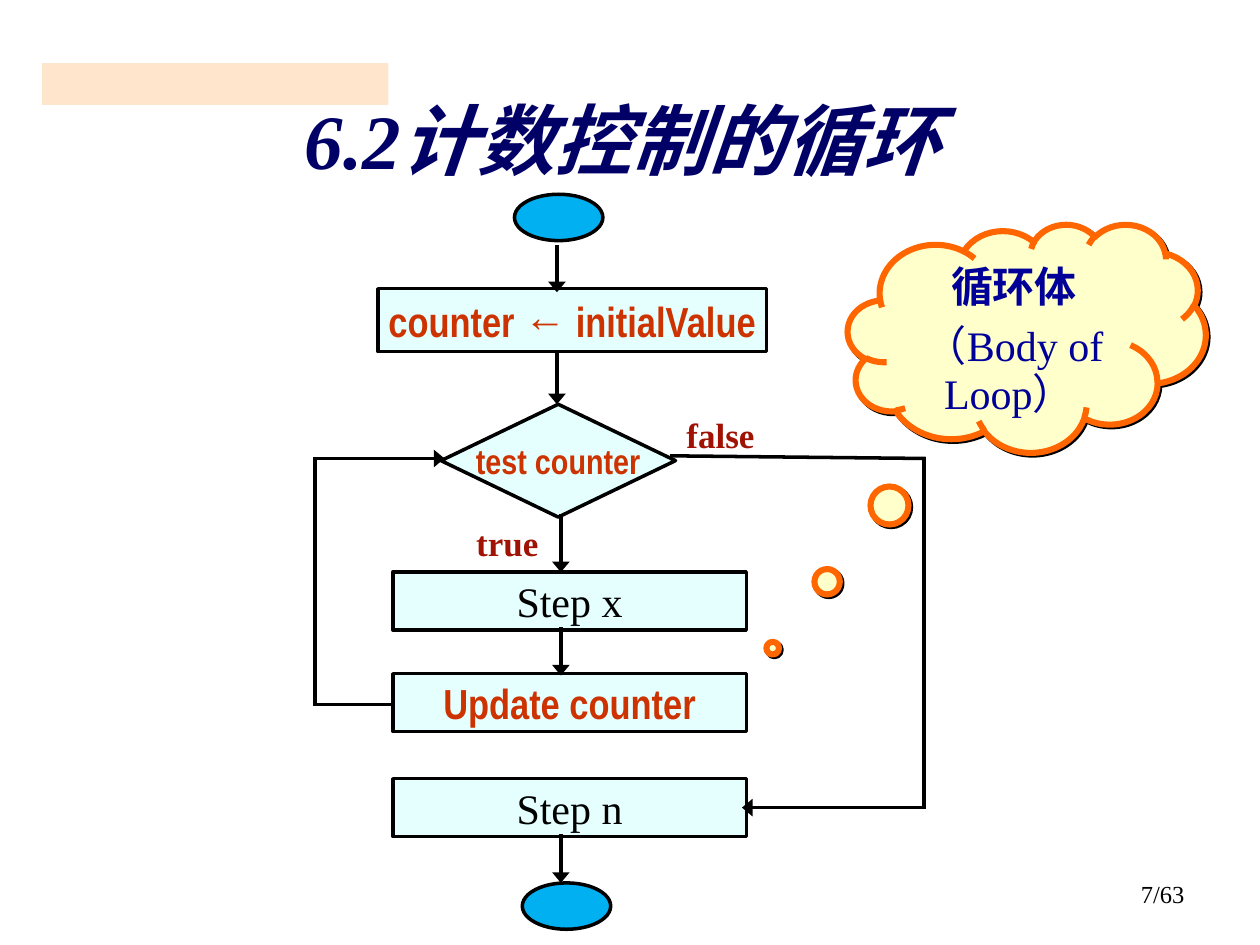
from dataclasses import dataclass
from itertools import pairwise

from lxml import etree
from pptx import Presentation
from pptx import util as u
from pptx.dml.color import RGBColor
from pptx.enum import shapes, text
from pptx.oxml import ns

COLORS = {
    "black": "000000",
    "title": "000066",
    "accent": "CC3300",
    "branch": "A01304",
    "cloud_text": "000099",
    "step": "E5FFFF",
    "terminal": "00B0F0",
    "cloud": "FFFFCC",
    "cloud_edge": "FF6600",
    "bar": "FFCC99",
}
SERIF = "Times New Roman"
NARROW = "Arial Narrow"
LEFT, CENTER, RIGHT = text.PP_ALIGN.LEFT, text.PP_ALIGN.CENTER, text.PP_ALIGN.RIGHT
TOP, MIDDLE = text.MSO_ANCHOR.TOP, text.MSO_ANCHOR.MIDDLE
FIXED, GROW = text.MSO_AUTO_SIZE.NONE, text.MSO_AUTO_SIZE.SHAPE_TO_FIT_TEXT
KIND = shapes.MSO_SHAPE

Box = tuple[float, float, float, float]
Point = tuple[float, float]


@dataclass(frozen=True)
class Style:
    size: float
    color: str
    font: str = SERIF
    bold: bool = False
    italic: bool = False


PLAIN = Style(24, "black")
KEY = Style(24, "accent", NARROW, True)
TEST = Style(20, "accent", NARROW, True)
BRANCH = Style(20, "branch", bold=True)
HEADING = Style(44, "title", bold=True, italic=True)
PAGE = Style(14, "black")
CLOUD_HEAD = Style(24, "cloud_text", bold=True)
CLOUD_BODY = Style(24, "cloud_text")


@dataclass(frozen=True)
class Node:
    kind: int
    box: Box
    fill: str
    label: str = ""
    style: Style = PLAIN


@dataclass(frozen=True)
class Label:
    words: str
    box: Box
    style: Style
    align: int = LEFT
    anchor: int = TOP
    wrap: bool = False
    spacing: float = 1.0


@dataclass(frozen=True)
class Route:
    points: tuple[Point, ...]
    arrow: bool = True


STEP_LEFT, STEP_WIDTH, STEP_HEIGHT = 224.5, 202, 33
TERMINAL_WIDTH, TERMINAL_HEIGHT = 50.5, 26.5
ENTRY_X, BODY_X, LOOP_X, EXIT_X, TEST_Y = 318.25, 320.5, 180, 528, 262


def step(top: float, label: str, style: Style) -> Node:
    return Node(KIND.RECTANGLE, (STEP_LEFT, top, STEP_WIDTH, STEP_HEIGHT), "step", label, style)


def terminal(left: float, top: float) -> Node:
    return Node(KIND.OVAL, (left, top, TERMINAL_WIDTH, TERMINAL_HEIGHT), "terminal")


def down(x: float, start: float, end: float) -> Route:
    return Route(((x, start), (x, end)))


NODES = [
    terminal(294, 111),
    Node(KIND.RECTANGLE, (216, 165, 222, 36), "step", "counter ← initialValue", KEY),
    Node(KIND.DIAMOND, (252, 231, 134, 64.5), "step", "test counter", TEST),
    step(327, "Step x", PLAIN),
    step(385, "Update counter", KEY),
    step(445, "Step n", PLAIN),
    terminal(298.5, 504.5),
]
ROUTES = [
    down(ENTRY_X, 141, 167),
    down(ENTRY_X, 201, 231),
    down(BODY_X, 294.5, 327),
    down(BODY_X, 359.5, 386),
    down(BODY_X, 477.5, 504.5),
    Route(((384, 260.5), (EXIT_X, TEST_Y)), False),
    Route(((EXIT_X, TEST_Y), (EXIT_X, 461.5), (424, 461.5))),
    Route(((STEP_LEFT, 402.5), (LOOP_X, 402.5), (LOOP_X, TEST_Y), (254, TEST_Y))),
]
LABELS = [
    Label("7/63", (516, 499, 168, 37.5), PAGE, RIGHT, wrap=True),
    Label("6.2计数控制的循环", (45.5, 50, 620.5, 67), HEADING, CENTER, MIDDLE, True, 0.85),
    Label("false", (385.2, 232.5, 56, 31.5), BRANCH),
    Label("true", (265, 294.5, 52, 31.5), BRANCH),
]


def rgb(name: str) -> RGBColor:
    return RGBColor.from_string(COLORS[name])


def apply(target, values: dict) -> None:
    for attribute, value in values.items():
        setattr(target, attribute, value)


def write(paragraph, words: str, style: Style, **layout) -> None:
    apply(paragraph, layout)
    run = paragraph.add_run()
    run.text = words
    apply(run.font, {"size": u.Pt(style.size), "name": style.font,
                     "bold": style.bold, "italic": style.italic})
    run.font.color.rgb = rgb(style.color)


def add_label(slide, label: Label) -> None:
    frame = slide.shapes.add_textbox(*map(u.Pt, label.box)).text_frame
    apply(frame, {"word_wrap": label.wrap, "vertical_anchor": label.anchor,
                  "auto_size": FIXED if label.wrap else GROW})
    write(frame.paragraphs[0], label.words, label.style,
          alignment=label.align, line_spacing=label.spacing)


def add_figure(slide, kind: int, box: Box, fill: str, edge: str = "black", width: float = 2):
    figure = slide.shapes.add_shape(kind, *map(u.Pt, box))
    figure.shadow.inherit = False
    figure.fill.solid()
    figure.fill.fore_color.rgb = rgb(fill)
    figure.line.color.rgb = rgb(edge)
    figure.line.width = u.Pt(width)
    return figure


def add_node(slide, node: Node) -> None:
    figure = add_figure(slide, node.kind, node.box, node.fill)
    if node.label:
        frame = figure.text_frame
        apply(frame, {"word_wrap": False, "vertical_anchor": MIDDLE})
        write(frame.paragraphs[0], node.label, node.style, alignment=CENTER)


def add_route(slide, route: Route) -> None:
    segments = list(pairwise(route.points))
    for index, (start, end) in enumerate(segments, 1):
        segment = slide.shapes.add_connector(
            shapes.MSO_CONNECTOR.STRAIGHT, *map(u.Pt, (*start, *end)))
        segment.line.color.rgb = rgb("black")
        segment.line.width = u.Pt(2)
        properties = segment.element.spPr
        outline = properties.find(ns.qn("a:ln"))
        outline.set("cap", "sq")
        if route.arrow and index == len(segments):
            etree.SubElement(outline, ns.qn("a:tailEnd"), type="triangle", w="lg", len="med")
        etree.SubElement(properties, ns.qn("a:effectLst"))


def add_bar(slide) -> None:
    bar = add_figure(slide, KIND.RECTANGLE, (24, 36, 198, 24), "bar")
    bar.line.fill.background()
    color = bar.element.spPr.find(f"{ns.qn('a:solidFill')}/{ns.qn('a:srgbClr')}")
    etree.SubElement(color, ns.qn("a:alpha"), val="50000")


def add_cloud(slide) -> None:
    cloud = add_figure(slide, KIND.CLOUD_CALLOUT, (484.5, 128, 204.5, 130.3),
                       "cloud", "cloud_edge", 3.5)
    cloud.adjustments[0] = -0.71
    cloud.adjustments[1] = 1.36
    effects = cloud.element.spPr.find(ns.qn("a:effectLst"))
    shadow = etree.SubElement(effects, ns.qn("a:outerShdw"), blurRad="0",
                              dist=str(u.Pt(1.4)), dir="2700000", algn="ctr", rotWithShape="0")
    etree.SubElement(shadow, ns.qn("a:srgbClr"), val=COLORS["black"])
    frame = cloud.text_frame
    apply(frame, {"word_wrap": True, "vertical_anchor": TOP})
    layout = {"alignment": CENTER, "line_spacing": 0.95, "space_before": u.Pt(6)}
    write(frame.paragraphs[0], "循环体", CLOUD_HEAD, **layout)
    write(frame.add_paragraph(), "（Body of Loop） ", CLOUD_BODY, **layout)


def main() -> None:
    deck = Presentation()
    apply(deck, {"slide_width": u.Pt(720), "slide_height": u.Pt(540)})
    slide = deck.slides.add_slide(deck.slide_layouts[6])
    add_bar(slide)
    for add, items in ((add_node, NODES), (add_route, ROUTES), (add_label, LABELS)):
        for item in items:
            add(slide, item)
    add_cloud(slide)
    deck.save("out.pptx")


if __name__ == "__main__":
    main()
